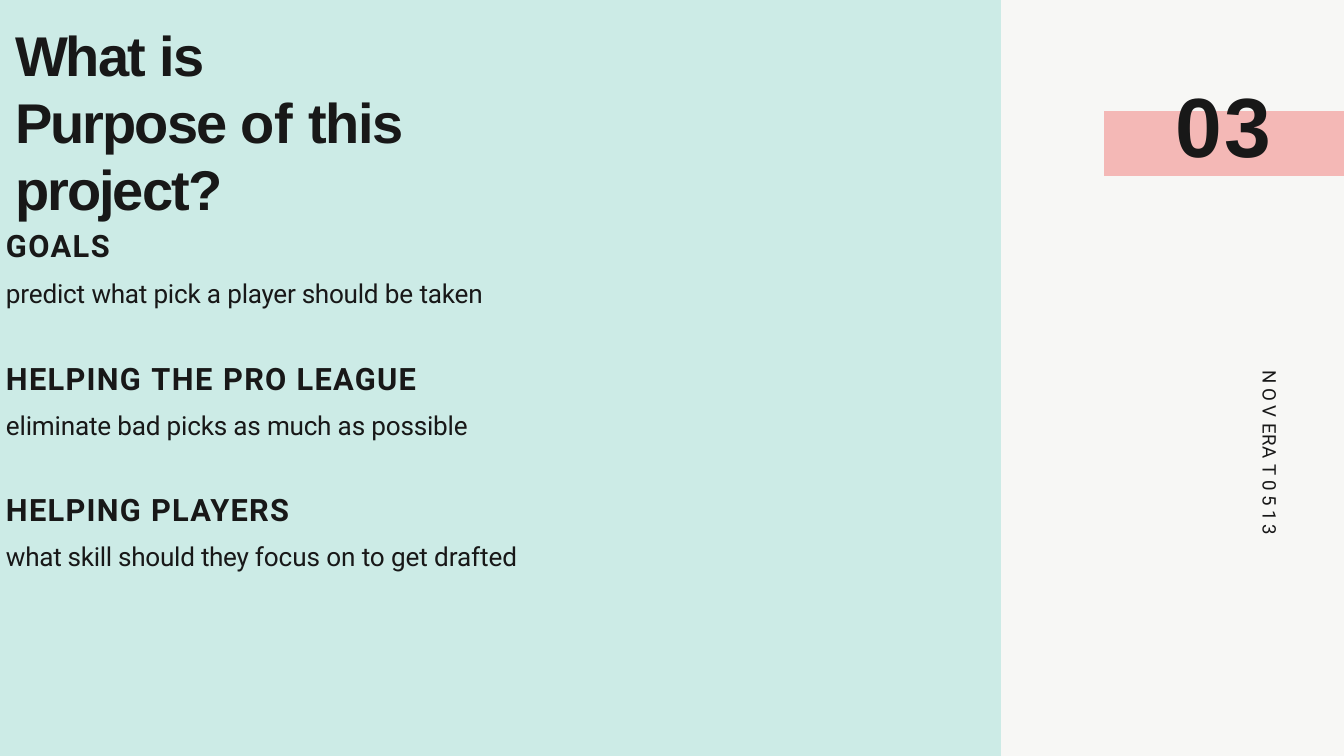
from pptx import Presentation
from pptx.dml.color import RGBColor
from pptx.enum.shapes import MSO_SHAPE as Preset
from pptx.enum.text import MSO_ANCHOR as Anchor, MSO_AUTO_SIZE as AutoSize, PP_ALIGN as Align
from pptx.util import Emu, Pt

# Content: each run is (text, letter spacing in hundredths of a point)
TITLE = [
    [("What ", -200), ("is", -160)],
    [("Purpose ", -210), ("of ", -60), ("this ", -140), ("project?", -210)],
]
NUMBER = [("0", 160), ("3", 170)]
SIDE_LABEL = [("N ", -10), ("O ", -60), ("V ", 50), ("ERA ", 70), ("T 0 5 1 3", -10)]
# Each goal: space before the heading, heading runs, detail runs
GOALS = [
    (0, [("GOALS", 150)],
     [("predict ", -20), ("what ", -30), ("pick a ", -20), ("player should", -30),
      (" be ", -10), ("taken", -20)]),
    (55, [("HELPING ", 140), ("THE ", 160), ("PRO LEAGUE", 140)],
     [("eliminate bad picks as ", -20), ("much ", -30), ("as possible", -20)]),
    (53, [("HELPING PLAYERS", 140)],
     [("what skill should ", -30), ("they ", -40), ("focus ", -10), ("on ", -20),
      ("to get drafted", -10)]),
]
COLORS = {"paper": "F7F7F5", "pink": "F4B8B6", "mint": "CCEBE6", "ink": "181818"}
PANELS = [
    ("paper", (0, 0, 1344, 756)),
    ("pink", (1104, 111, 240, 65)),
    ("mint", (0, 0, 1001, 756)),
]
PIXEL = 914400 / 67.2


def px(value):
    return Emu(round(value * PIXEL))


def place(shape, box):
    shape.left, shape.top, shape.width, shape.height = map(px, box)


def prepare(frame):
    frame.word_wrap = True
    frame.auto_size = AutoSize.NONE
    frame.vertical_anchor = Anchor.TOP
    frame.margin_left = frame.margin_top = frame.margin_right = frame.margin_bottom = 0
    return frame


def add_text_box(box):
    return prepare(slide.shapes.add_textbox(*map(px, box)).text_frame)


def write(frame, index, runs, font, size, bold=False, before=0, spacing=None):
    paragraph = frame.paragraphs[0] if index == 0 else frame.add_paragraph()
    paragraph.alignment = Align.LEFT
    paragraph.space_before = Pt(before)
    paragraph.space_after = Pt(0)
    paragraph.line_spacing = spacing
    for text, tracking in runs:
        run = paragraph.add_run()
        run.text = text
        run.font.name, run.font.size, run.font.bold = font, Pt(size), bold
        run.font.color.rgb = RGBColor.from_string(COLORS["ink"])
        run.font._element.set("spc", str(tracking))


presentation = Presentation()
presentation.slide_width, presentation.slide_height = px(1344), px(756)
slide = presentation.slides.add_slide(presentation.slide_layouts[5])

# Background panels
for color, box in PANELS:
    panel = slide.shapes.add_shape(Preset.RECTANGLE, *map(px, box))
    panel.shadow.inherit = False
    panel.fill.solid()
    panel.fill.fore_color.rgb = RGBColor.from_string(COLORS[color])
    panel.line.fill.background()

# Title, moved in front of the panels
title = slide.shapes.title
slide.shapes._spTree.append(title._element)
place(title, (15, 21, 600, 204))
title_frame = prepare(title.text_frame)
for index, runs in enumerate(TITLE):
    write(title_frame, index, runs, "Arial", 60, bold=True, spacing=Pt(71.8))

# Section number
write(add_text_box((1176, 74, 99, 99)), 0, NUMBER, "Arial", 90, bold=True)

# Vertical label
label_frame = add_text_box((1257, 371, 24, 179))
label_frame._txBody.bodyPr.set("vert", "vert")
write(label_frame, 0, SIDE_LABEL, "Roboto", 20, spacing=Pt(23.6))

# Goals: a heading and a detail line each
goals_frame = add_text_box((6, 227, 523, 342))
for index, (before, heading, detail) in enumerate(GOALS):
    write(goals_frame, index, heading, "Roboto", 33, bold=True, before=before)
    write(goals_frame, index + 1, detail, "Roboto", 28, before=14)

presentation.save("out.pptx")
